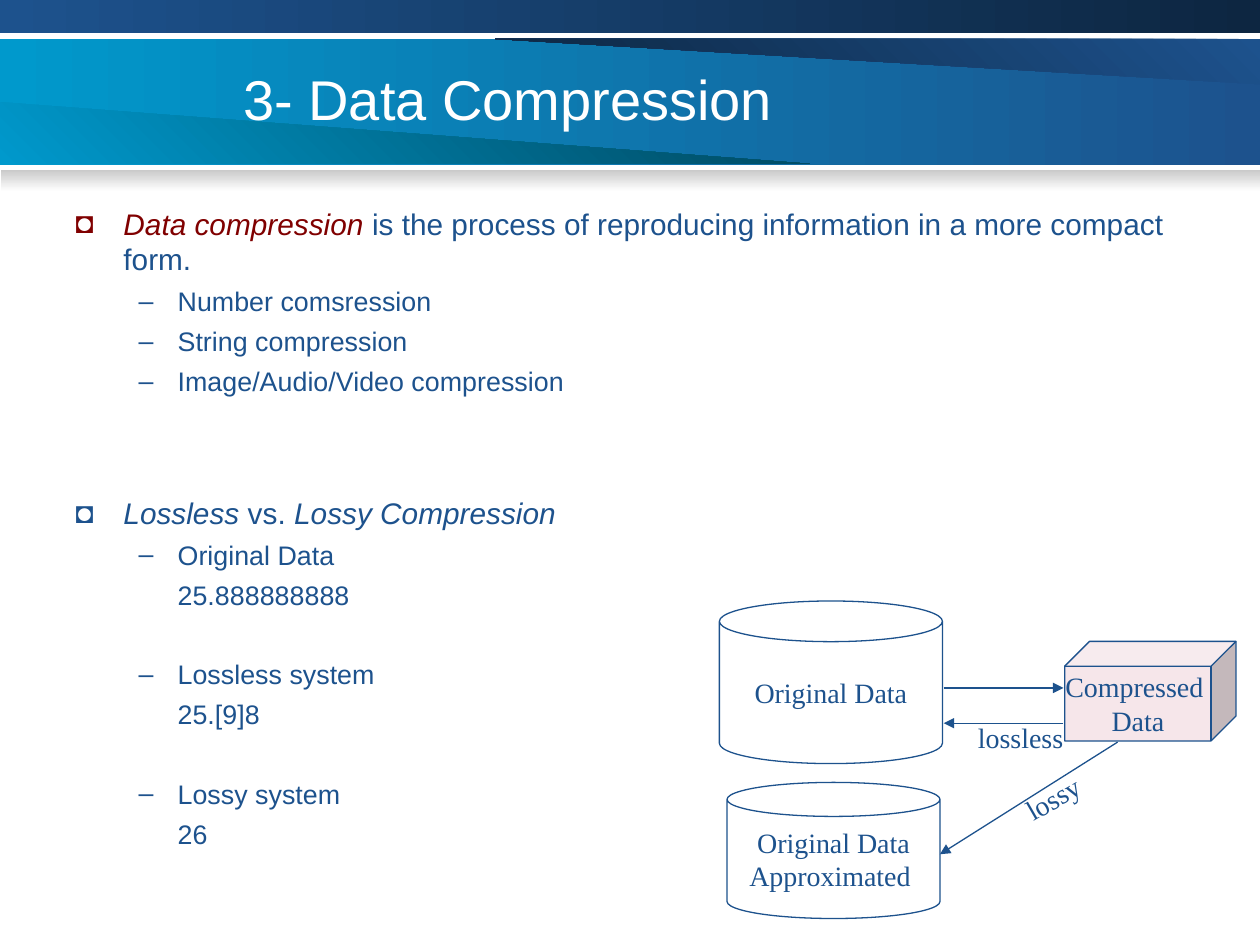
from lxml.etree import SubElement
from pptx import Presentation
from pptx.dml.color import RGBColor
from pptx.enum.shapes import MSO_CONNECTOR, MSO_SHAPE
from pptx.enum.text import MSO_ANCHOR, MSO_AUTO_SIZE, PP_ALIGN
from pptx.oxml.ns import qn
from pptx.util import Inches, Pt

WHITE = RGBColor(0xFF, 0xFF, 0xFF)
BLUE = RGBColor(0x1D, 0x52, 0x8D)
NAVY = RGBColor(0x0D, 0x26, 0x41)
CYAN = RGBColor(0x00, 0x99, 0xCC)
TEAL = RGBColor(0x00, 0x47, 0x5E)
GREY = RGBColor(0xCA, 0xCA, 0xCA)
MAROON = RGBColor(0x80, 0x00, 0x00)
PINK = RGBColor(0xF6, 0xE6, 0xEA)

prs = Presentation()
prs.slide_width, prs.slide_height = Inches(10), Inches(7.5)
CELL = prs.slide_width / 100  # square grid: 100 columns by 75 rows
slide = prs.slides.add_slide(prs.slide_layouts[1])
shapes = slide.shapes
title, body = slide.placeholders


def cells(*counts):
    return [round(count * CELL) for count in counts]


def paint_band(band, start, end, angle):
    band.shadow.inherit = False
    band.line.fill.background()
    band.fill.gradient()
    band.fill.gradient_angle = angle
    for stop, colour in zip(band.fill.gradient_stops, (start, end)):
        stop.color.rgb = colour


# Banner
bands = [
    ((0, 3.1, 100.1, 10), CYAN, BLUE, 0),
    ((0, 0, 100, 2.6), BLUE, NAVY, 0),
    ((0.1, 13.5, 99.9, 1.7), GREY, WHITE, 270),
]
wedges = [
    ([(98.2, 3.1), (39.3, 3.1), (100, 6.7), (100, 3.1)], BLUE, NAVY, 225),
    ([(1.9, 13), (64.3, 13), (0, 8.1), (0, 13)], CYAN, TEAL, 45),
]
for place, start, end, angle in bands:
    band = shapes.add_shape(MSO_SHAPE.RECTANGLE, *cells(*place))
    paint_band(band, start, end, angle)
for corners, start, end, angle in wedges:
    first, *others = [cells(*corner) for corner in corners]
    outline = shapes.build_freeform(*first)
    outline.add_line_segments(others, close=True)
    paint_band(outline.convert_to_shape(), start, end, angle)

# Title and list stand in front of the banner
for holder, place in ((title, (18.3, 3, 72.5, 9.5)), (body, (5, 15.8, 90, 54.1))):
    shapes._spTree.append(holder._element)
    holder.left, holder.top, holder.width, holder.height = cells(*place)
    holder.text_frame.auto_size = MSO_AUTO_SIZE.NONE

title.text_frame.text = "3- Data Compression"
title.text_frame.vertical_anchor = MSO_ANCHOR.MIDDLE
heading = title.text_frame.paragraphs[0]
heading.alignment = PP_ALIGN.LEFT
heading.font.name, heading.font.size = "Arial", Pt(32)
heading.font.color.rgb = WHITE

# Each entry: level, bullet, space before, runs of (text, italic, colour)
NEAR, GROUP, TOPIC = 4.5, 27, 56
entries = [
    (0, "◘", 0, [
        ("Data compression ", True, MAROON),
        ("is the process of reproducing information in a more compact form.", False, BLUE),
    ]),
    (1, "–", NEAR, [("Number comsression", False, BLUE)]),
    (1, "–", NEAR, [("String compression", False, BLUE)]),
    (1, "–", NEAR, [("Image/Audio/Video compression", False, BLUE)]),
    (0, "◘", TOPIC, [
        ("Lossless", True, BLUE),
        (" vs. ", False, BLUE),
        ("Lossy Compression", True, BLUE),
    ]),
    (1, "–", NEAR, [("Original Data", False, BLUE)]),
    (1, None, NEAR, [("25.888888888", False, BLUE)]),
    (1, "–", GROUP, [("Lossless system", False, BLUE)]),
    (1, None, NEAR, [("25.[9]8", False, BLUE)]),
    (1, "–", GROUP, [("Lossy system", False, BLUE)]),
    (1, None, NEAR, [("26", False, BLUE)]),
]
margins, hangs, sizes = (0.38, 0.81), (0.38, 0.31), (17, 15.3)
for index, (level, bullet, gap, runs) in enumerate(entries):
    frame = body.text_frame
    entry = frame.add_paragraph() if index else frame.paragraphs[0]
    entry.level = level
    entry.space_before = Pt(gap)
    entry.line_spacing = 1.0
    props = entry._p.get_or_add_pPr()
    props.set("marL", str(Inches(margins[level])))
    props.set("indent", str(-Inches(hangs[level]) if bullet else 0))
    if bullet:
        bullet_colour = SubElement(props, qn("a:buClr"))
        SubElement(bullet_colour, qn("a:srgbClr"), val=str(runs[0][2]))
        SubElement(props, qn("a:buFont"), typeface="Arial")
        SubElement(props, qn("a:buChar"), char=bullet)
    else:
        SubElement(props, qn("a:buNone"))
    for text, italic, colour in runs:
        run = entry.add_run()
        run.text = text
        run.font.name, run.font.size = "Arial", Pt(sizes[level])
        run.font.italic = italic
        run.font.color.rgb = colour

# Compression diagram
stores = [
    (MSO_SHAPE.CAN, (57.1, 47.7, 17.7, 12.9), WHITE, "Original Data"),
    (MSO_SHAPE.CUBE, (84.5, 50.9, 13.6, 7.9), PINK, "Compressed \nData"),
    (MSO_SHAPE.CAN, (57.7, 62.1, 16.9, 10.8), WHITE, "Original Data\nApproximated "),
]
flows = [
    (74.9, 54.6, 84.4, 54.6),
    (84.4, 57.4, 74.9, 57.4),
    (88.7, 58.9, 74.6, 67.8),
]
labels = [
    ((76.6, 56.7, 8.8, 3.7), 0, "lossless"),
    ((80.3, 61.5, 6.5, 3.7), 330, "lossy"),
]
captions = []
for kind, place, colour, text in stores:
    store = shapes.add_shape(kind, *cells(*place))
    store.adjustments[0] = 0.25
    store.shadow.inherit = False
    store.fill.solid()
    store.fill.fore_color.rgb = colour
    store.line.color.rgb, store.line.width = BLUE, Pt(0.75)
    store.text_frame.vertical_anchor = MSO_ANCHOR.MIDDLE
    captions.append((store, text))
for ends in flows:
    flow = shapes.add_connector(MSO_CONNECTOR.STRAIGHT, *cells(*ends))
    flow.line.color.rgb, flow.line.width = BLUE, Pt(0.75)
    SubElement(flow.line._get_or_add_ln(), qn("a:tailEnd"), type="triangle")
    SubElement(flow._element.spPr, qn("a:effectLst"))
for place, turn, text in labels:
    label = shapes.add_textbox(*cells(*place))
    label.rotation = turn
    label.text_frame.margin_left = label.text_frame.margin_right = 0
    captions.append((label, text))
for part, text in captions:
    part.text_frame.word_wrap = False
    part.text_frame.text = text
    for line in part.text_frame.paragraphs:
        line.alignment = PP_ALIGN.CENTER
        line.font.name, line.font.size = "Times New Roman", Pt(16)
        line.font.color.rgb = BLUE

prs.save("out.pptx")
